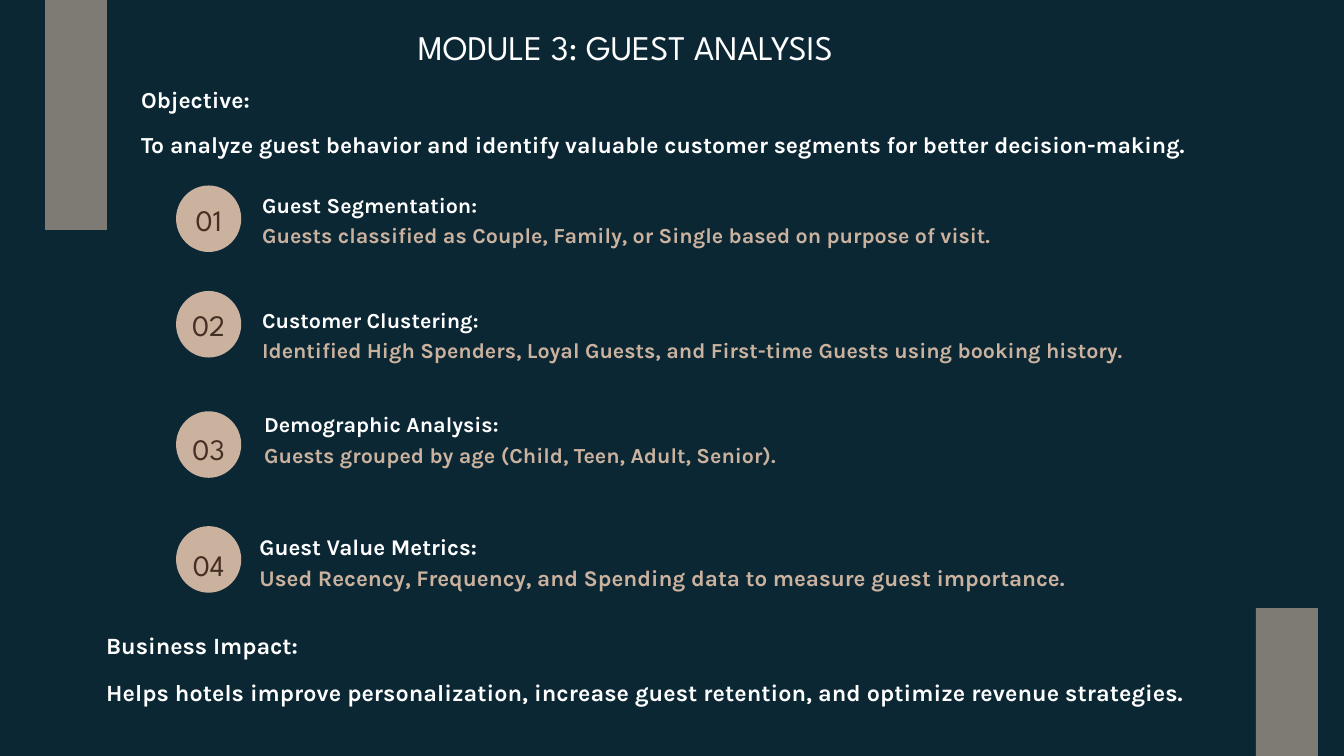
from pptx import Presentation
from pptx.dml.color import RGBColor
from pptx.enum.shapes import MSO_SHAPE as Shape
from pptx.enum.text import MSO_ANCHOR as Anchor, MSO_AUTO_SIZE as Fit, PP_ALIGN as Align
from pptx.oxml.ns import qn
from pptx.util import Inches, Pt
from lxml.etree import SubElement

# Content
TITLE = "MODULE 3: GUEST ANALYSIS"
GOAL = ("Objective:",
        "To analyze guest behavior and identify valuable customer segments for better decision-making.")
IMPACT = ("Business Impact:",
          "Helps hotels improve personalization, increase guest retention, and optimize revenue strategies.")
# circle top, number top, text left, text top, type size, heading, detail
STEPS = [
    (2.76, 3.00, 3.90, 2.80, 23, "Guest Segmentation:",
     "Guests classified as Couple, Family, or Single based on purpose of visit."),
    (4.33, 4.57, 3.90, 4.51, 23, "Customer Clustering:",
     "Identified High Spenders, Loyal Guests, and First-time Guests using booking history."),
    (6.12, 6.41, 3.93, 6.06, 23, "Demographic Analysis:",
     "Guests grouped by age (Child, Teen, Adult, Senior)."),
    (7.83, 8.14, 3.86, 7.86, 24, "Guest Value Metrics:",
     "Used Recency, Frequency, and Spending data to measure guest importance."),
]
BARS = [(0.67, 0, 0.92, 3.42), (18.69, 9.05, 0.92, 2.2)]

THEME = {
    "back": "0B2734", "sand": "CBB29F", "white": "FFFFFF", "brown": "443023",
    "head": "League Spartan", "body": "Karla",
    "title": 37, "number": 31.8, "goal": 24.6, "impact": 25,
}


def color(name):
    return RGBColor.from_string(THEME[name])


def place(shape, box):
    shape.left, shape.top, shape.width, shape.height = map(Inches, box)


def write(shape, lines, face, size, ratio, hues=("white",), align=Align.LEFT, gap=0):
    """Fill a frame with lines; hues give one colour per line."""
    frame = shape.text_frame
    frame.word_wrap = True
    frame.auto_size = Fit.NONE
    frame.vertical_anchor = Anchor.TOP
    frame.margin_left = frame.margin_right = 0
    frame.margin_top = frame.margin_bottom = 0
    frame.text = "\n".join(lines)
    for i, para in enumerate(frame.paragraphs):
        para.alignment = align
        para.line_spacing = Pt(round(size * ratio, 1))
        para.space_before = Pt(gap if i else 0)
        font = para.runs[0].font
        font.name, font.size = THEME[face], Pt(size)
        font.bold = face == "body"
        font.color.rgb = color(hues[i % len(hues)])
    return frame


def draw(slide, kind, box, alpha=None):
    shape = slide.shapes.add_shape(kind, *map(Inches, box))
    shape.shadow.inherit = False
    shape.fill.solid()
    shape.fill.fore_color.rgb = color("sand")
    shape.line.fill.background()
    if alpha:
        tint = shape.fill._xPr.find(".//" + qn("a:srgbClr"))
        SubElement(tint, qn("a:alpha")).set("val", str(alpha * 1000))


def label(slide, box, *args, **more):
    return write(slide.shapes.add_textbox(*map(Inches, box)), *args, **more)


def main():
    deck = Presentation()
    deck.slide_width, deck.slide_height = Inches(20), Inches(11.25)
    slide = deck.slides.add_slide(deck.slide_layouts[5])
    slide.background.fill.solid()
    slide.background.fill.fore_color.rgb = color("back")

    # Side bars
    for box in BARS:
        draw(slide, Shape.RECTANGLE, box, alpha=60)

    # Title
    title = slide.shapes.title
    place(title, (3.97, 0.38, 10.67, 0.61))
    write(title, [TITLE], "head", THEME["title"], 1.2, align=Align.CENTER)

    # Objective and impact
    label(slide, (2.1, 1.2, 16.53, 1.57), GOAL, "body", THEME["goal"], 1.4, gap=13.8)
    frame = label(slide, (1.58, 9.33, 16.49, 1.64), IMPACT, "body", THEME["impact"], 1.4, gap=14.5)
    frame.paragraphs[1].runs[0]._r.get_or_add_rPr().set("spc", "10")

    # Numbered steps
    for i, (disc, num, left, top, size, head, text) in enumerate(STEPS, 1):
        draw(slide, Shape.OVAL, (2.62, disc, 0.97, 0.99))
        label(slide, (2.73, num, 0.75, 0.52), [f"{i:02}"], "head", THEME["number"], 1.2,
              hues=("brown",), align=Align.CENTER)
        label(slide, (left, top, 13.3, 0.88), (head, text), "body", size, 1.4,
              hues=("white", "sand"))

    deck.save("out.pptx")


if __name__ == "__main__":
    main()
